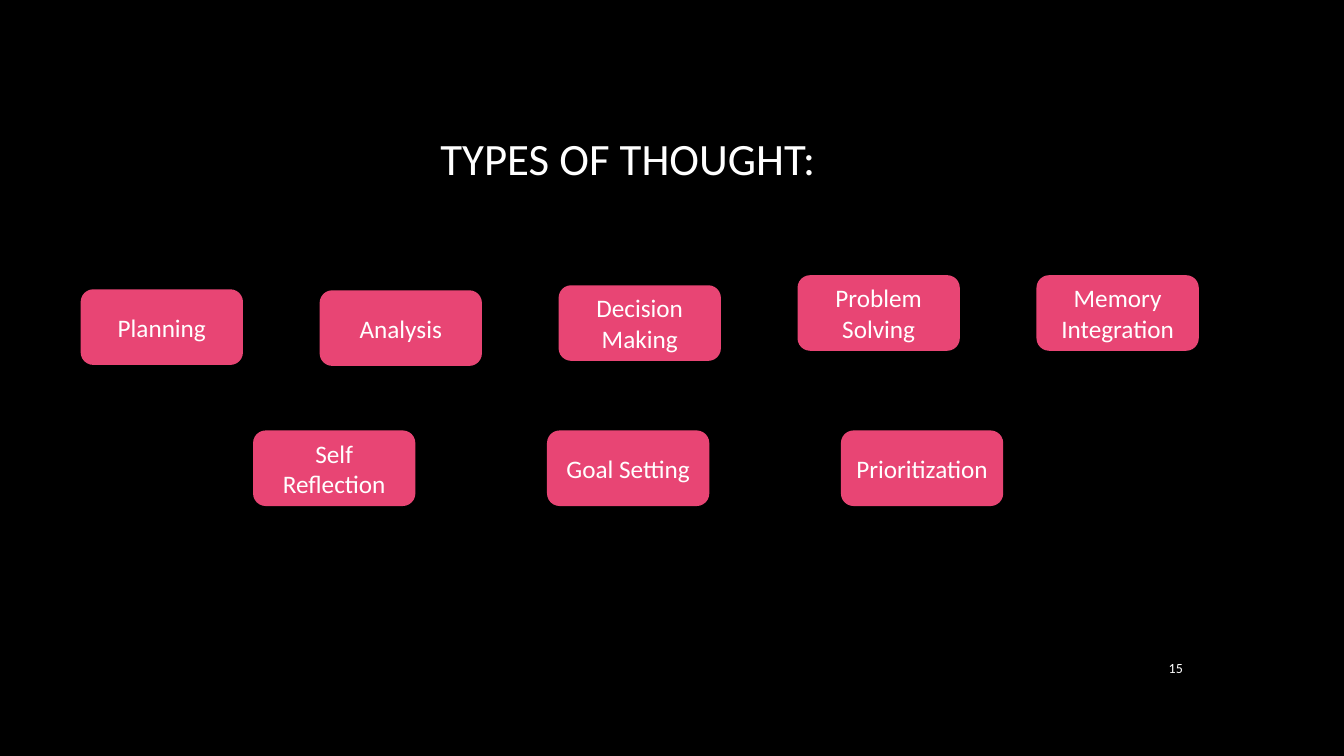
from pptx import Presentation
from pptx.dml.color import RGBColor
from pptx.enum.shapes import MSO_SHAPE
from pptx.enum.text import MSO_ANCHOR, PP_ALIGN
from pptx.util import Inches, Pt

BOX = MSO_SHAPE.FLOWCHART_ALTERNATE_PROCESS
TOP, MIDDLE = MSO_ANCHOR.TOP, MSO_ANCHOR.MIDDLE
LEFT, CENTER, RIGHT = PP_ALIGN.LEFT, PP_ALIGN.CENTER, PP_ALIGN.RIGHT

COLORS = {"background": "000000", "box": "E84574", "text": "FFFFFF"}
FONT = "Calibri"
BOX_W, BOX_H = 1.61, 0.75

# Each row: left edge, column pitch, then (label, top) per box
ROWS = [
    (0.8, 2.37, [("Planning", 2.87), ("Analysis", 2.88),
                 ("Decision Making", 2.83), ("Problem Solving", 2.73),
                 ("Memory Integration", 2.73)]),
    (2.51, 2.915, [("Self Reflection", 4.27), ("Goal Setting", 4.27),
                   ("Prioritization", 4.27)]),
]


def rgb(name):
    return RGBColor.from_string(COLORS[name])


def set_text(sp, text, size, align, anchor):
    tf = sp.text_frame
    tf.word_wrap = True
    tf.vertical_anchor = anchor
    p = tf.paragraphs[0]
    p.text = text
    p.alignment = align
    p.font.name = FONT
    p.font.size = Pt(size)
    p.font.color.rgb = rgb("text")


def add_label(slide, text, place, size, align, anchor):
    sp = slide.shapes.add_textbox(*map(Inches, place))
    set_text(sp, text, size, align, anchor)


def add_box(slide, text, left, top):
    sp = slide.shapes.add_shape(BOX, *map(Inches, (left, top, BOX_W, BOX_H)))
    sp.shadow.inherit = False
    sp.fill.solid()
    sp.fill.fore_color.rgb = rgb("box")
    sp.line.fill.background()
    set_text(sp, text, 18, CENTER, MIDDLE)


def main():
    prs = Presentation()
    prs.slide_width, prs.slide_height = Inches(13.33), Inches(7.5)
    slide = prs.slides.add_slide(prs.slide_layouts[6])
    slide.background.fill.solid()
    slide.background.fill.fore_color.rgb = rgb("background")

    # Title
    add_label(slide, "TYPES OF THOUGHT:", (4.27, 1.25, 4.07, 0.64), 32, LEFT, TOP)

    # Rows of thought types
    for left, pitch, boxes in ROWS:
        for col, (text, top) in enumerate(boxes):
            add_box(slide, text, left + col * pitch, top)

    # Slide number
    add_label(slide, "15", (11.23, 6.42, 0.6, 0.41), 10, RIGHT, MIDDLE)

    prs.save("out.pptx")


if __name__ == "__main__":
    main()
